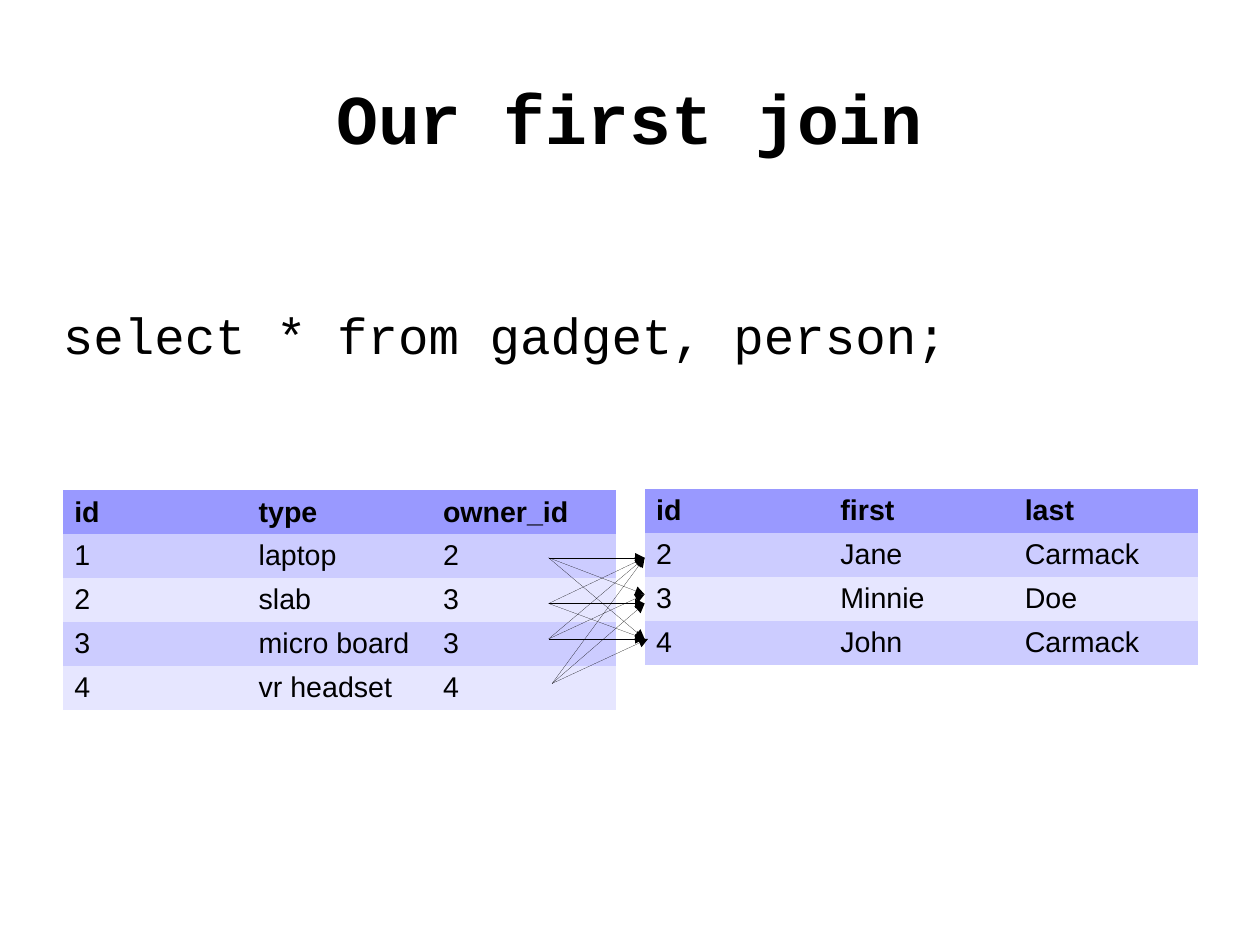
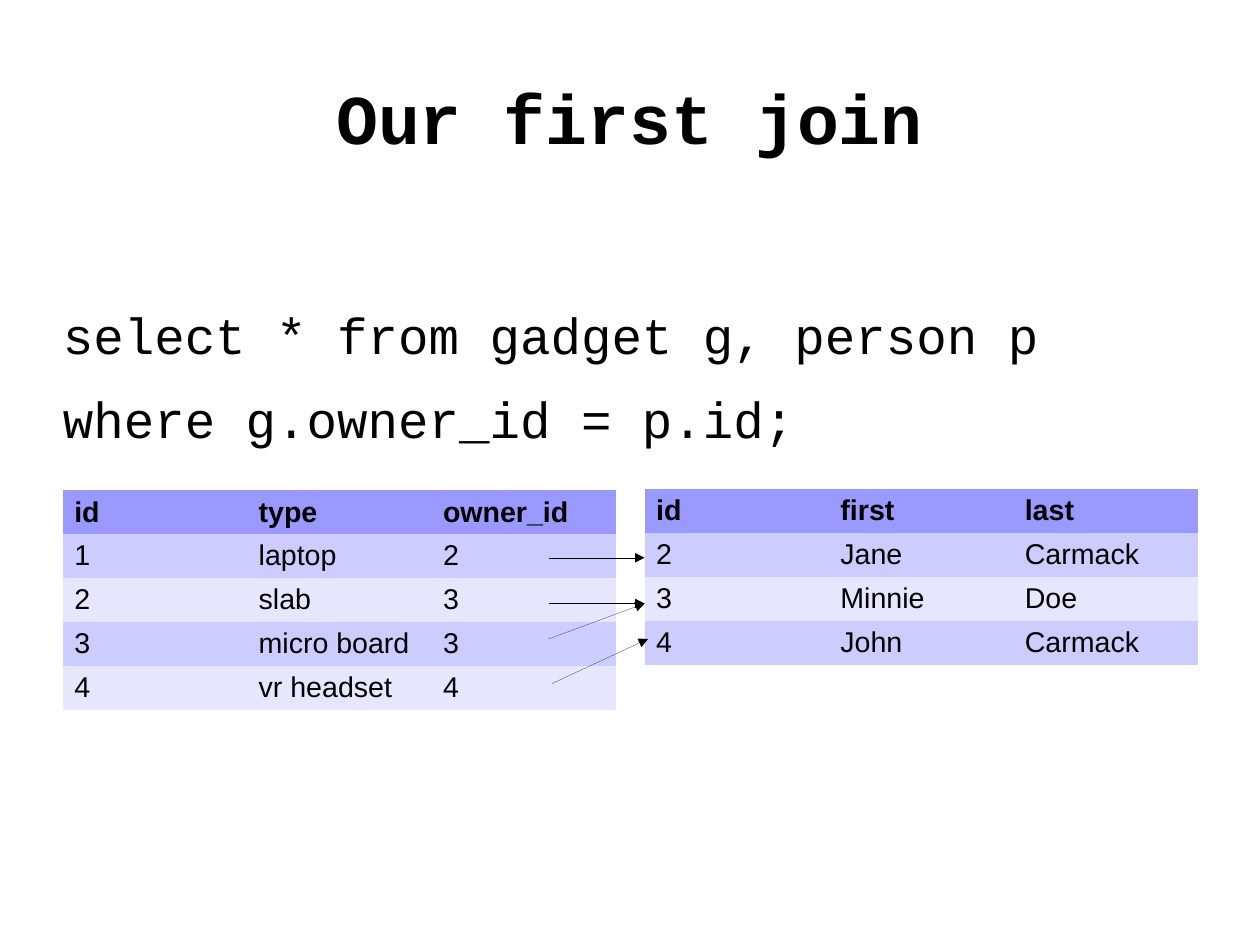
from dataclasses import dataclass

from lxml import etree
from pptx import Presentation
from pptx.dml.color import RGBColor
from pptx.enum.shapes import MSO_CONNECTOR
from pptx.enum.text import MSO_ANCHOR, MSO_AUTO_SIZE, PP_ALIGN
from pptx.oxml.ns import qn
from pptx.util import Inches, Pt

LINE = MSO_CONNECTOR.STRAIGHT
MIDDLE, TOP = MSO_ANCHOR.MIDDLE, MSO_ANCHOR.TOP
LEFT, CENTER = PP_ALIGN.LEFT, PP_ALIGN.CENTER
NO_FIT = MSO_AUTO_SIZE.NONE
NO_GRID = "{2D5ABB26-0587-4C30-8999-92F81FD0307C}"


@dataclass(frozen=True)
class Theme:
    ink: str = "000000"
    head: str = "9999FF"
    bands: tuple[str, str] = ("CCCCFF", "E6E6FF")
    mono: str = "Courier New"
    sans: str = "Arial"
    title: float = 44
    code: float = 32
    cell: float = 18
    gap: float = 14.2


@dataclass(frozen=True)
class Box:
    left: float
    top: float
    width: float
    height: float

    def emu(self) -> list[int]:
        return [Inches(n) for n in (self.left, self.top, self.width, self.height)]


@dataclass(frozen=True)
class Grid:
    box: Box
    rows: tuple[tuple[str, ...], ...]


@dataclass(frozen=True)
class Point:
    x: float
    y: float


@dataclass(frozen=True)
class Page:
    query: tuple[str, ...]
    links: tuple[tuple[Point, Point], ...]


THEME = Theme()
WIDE, HIGH = 28 / 2.54, 21 / 2.54
TITLE = Box(0.55, 0.33, 9.92, 1.38)
QUERY = Box(0.55, 1.93, 10, 2.29)
INDENT = 0.73

GRIDS = (
    Grid(Box(0.55, 4.29, 4.84, 1.92), (
        ("id", "type", "owner_id"),
        ("1", "laptop", "2"),
        ("2", "slab", "3"),
        ("3", "micro board", "3"),
        ("4", "vr headset", "4"),
    )),
    Grid(Box(5.64, 4.28, 4.84, 1.54), (
        ("id", "first", "last"),
        ("2", "Jane", "Carmack"),
        ("3", "Minnie", "Doe"),
        ("4", "John", "Carmack"),
    )),
)

ONE, TWO, THREE = (Point(4.8, y) for y in (4.88, 5.28, 5.59))
FOUR = Point(4.83, 5.98)
JANE, UPPER, MINNIE, JOHN = (Point(5.64, y) for y in (4.88, 5.2, 5.28, 5.59))
INNER = Point(5.67, 5.59)

PAGES = (
    Page(("select * from gadget, person;",), (
        (ONE, JANE), (ONE, UPPER), (ONE, JOHN),
        (TWO, JANE), (TWO, MINNIE), (TWO, JOHN),
        (THREE, UPPER), (THREE, JANE), (THREE, JOHN),
        (FOUR, INNER), (FOUR, MINNIE), (FOUR, JANE),
    )),
    Page(("select * from gadget g, person p", "where g.owner_id = p.id;"), (
        (ONE, JANE), (TWO, MINNIE), (THREE, MINNIE), (FOUR, INNER),
    )),
)


def write(frame, *lines: str, size: float, font: str, bold: bool = False,
          align=LEFT, after: float = 0) -> None:
    for i, line in enumerate(lines):
        para = frame.add_paragraph() if i else frame.paragraphs[0]
        para.alignment = align
        para.space_after = Pt(after)
        run = para.add_run()
        run.text = line
        run.font.name = font
        run.font.size = Pt(size)
        run.font.bold = bold
        run.font.color.rgb = RGBColor.from_string(THEME.ink)


def frame_of(shape, anchor, top: float = 0):
    frame = shape.text_frame
    frame.word_wrap = True
    frame.auto_size = NO_FIT
    frame.vertical_anchor = anchor
    frame.margin_left = frame.margin_right = frame.margin_bottom = 0
    frame.margin_top = Inches(top)
    return frame


def add_title(slide, text: str) -> None:
    shape = slide.shapes.title
    shape.left, shape.top, shape.width, shape.height = TITLE.emu()
    write(frame_of(shape, MIDDLE), text, size=THEME.title, font=THEME.mono,
          bold=True, align=CENTER)


def add_query(slide, lines: tuple[str, ...]) -> None:
    shape = slide.shapes.add_textbox(*QUERY.emu())
    write(frame_of(shape, TOP, INDENT), *lines, size=THEME.code,
          font=THEME.mono, after=THEME.gap)


def add_grid(slide, grid: Grid) -> None:
    rows, cols = len(grid.rows), len(grid.rows[0])
    shape = slide.shapes.add_table(rows, cols, *grid.box.emu())
    table = shape.table
    table._tbl.tblPr.find(qn("a:tableStyleId")).text = NO_GRID
    for col in table.columns:
        col.width = Inches(grid.box.width / cols)
    for r, row in enumerate(grid.rows):
        table.rows[r].height = Inches(grid.box.height / rows)
        shade = THEME.bands[(r - 1) % 2] if r else THEME.head
        for c, text in enumerate(row):
            cell = table.cell(r, c)
            cell.fill.solid()
            cell.fill.fore_color.rgb = RGBColor.from_string(shade)
            write(cell.text_frame, text, size=THEME.cell, font=THEME.sans,
                  bold=r == 0)


def add_arrow(slide, start: Point, end: Point) -> None:
    ends = (Inches(n) for n in (start.x, start.y, end.x, end.y))
    arrow = slide.shapes.add_connector(LINE, *ends)
    arrow.line.color.rgb = RGBColor.from_string(THEME.ink)
    stroke = arrow.line._get_or_add_ln()
    stroke.set("w", "0")
    etree.SubElement(stroke, qn("a:tailEnd"), type="triangle")
    etree.SubElement(arrow._element.spPr, qn("a:effectLst"))


def main() -> None:
    deck = Presentation()
    deck.slide_width, deck.slide_height = Inches(WIDE), Inches(HIGH)
    deck.element.find(qn("p:sldSz")).attrib.pop("type", None)
    for page in PAGES:
        slide = deck.slides.add_slide(deck.slide_layouts[5])
        add_title(slide, "Our first join")
        add_query(slide, page.query)
        for grid in GRIDS:
            add_grid(slide, grid)
        for start, end in page.links:
            add_arrow(slide, start, end)
    deck.save("out.pptx")


if __name__ == "__main__":
    main()
